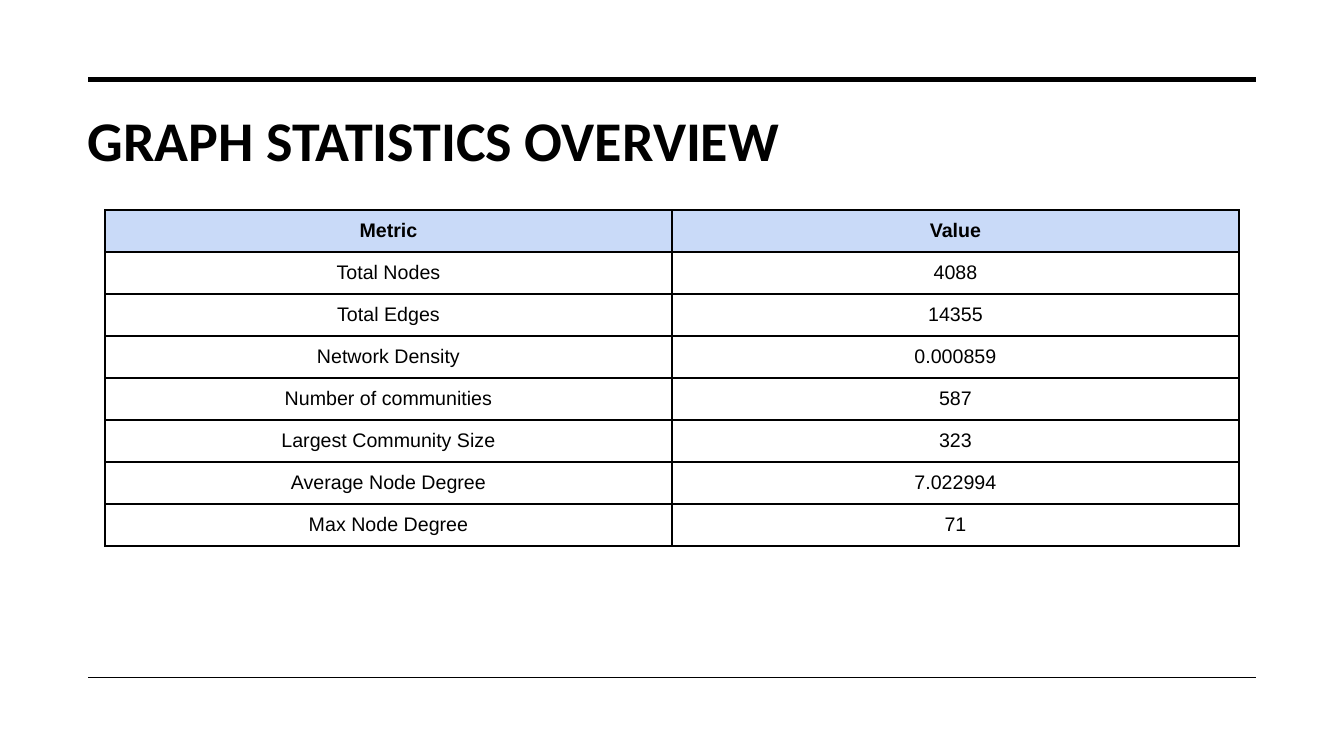
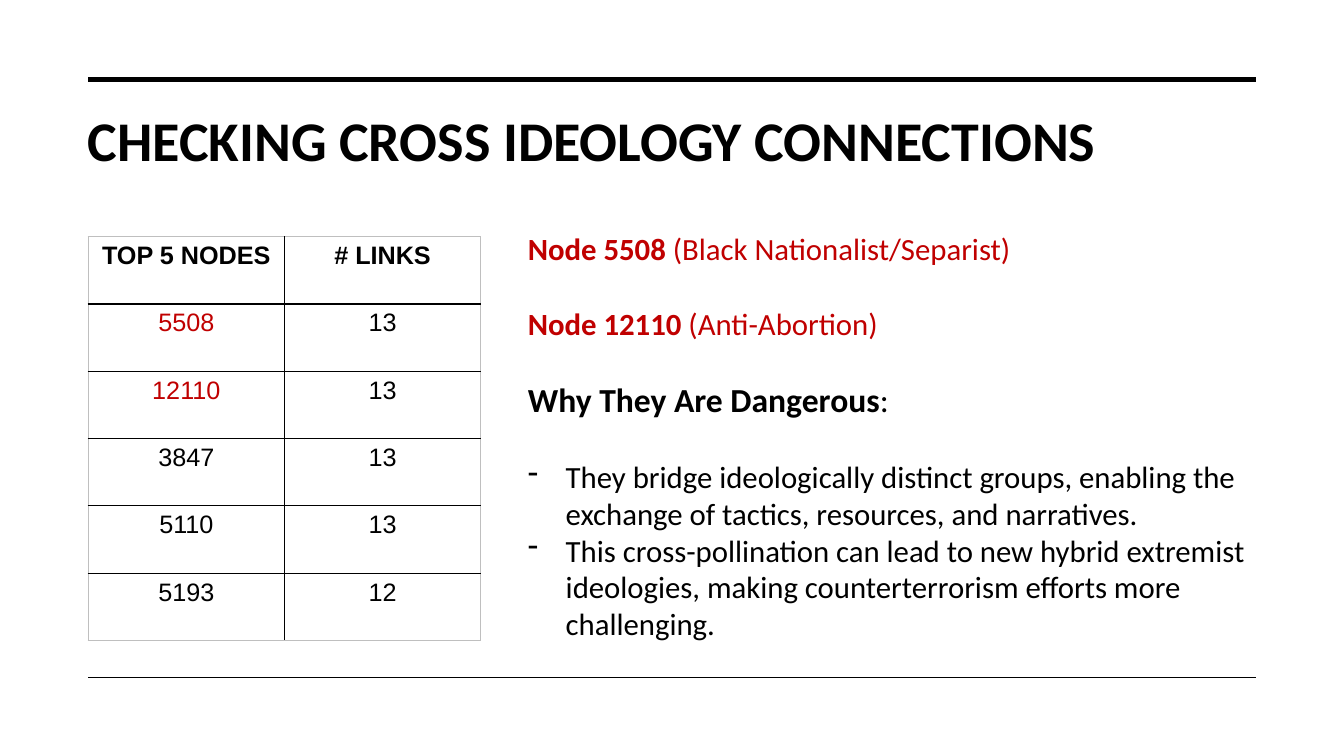
from pptx import Presentation
from pptx.dml.color import RGBColor
from pptx.enum import shapes, text
from pptx.oxml import parse_xml
from pptx.oxml.ns import nsdecls
from pptx.util import Pt

# Shared look
BLACK, RED, GRAY, HEADER_BLUE = "000000", "C00000", "BFBFBF", "C9DAF8"
LEFT, RIGHT = 63, 897
RULES = [(57, 3.5), (484, 1)]  # height on page, thickness
TITLE_FRAME = (55.5, 72, 842, 103)

# Content
STATISTICS = [
    ("Metric", "Value"),
    ("Total Nodes", "4088"),
    ("Total Edges", "14355"),
    ("Network Density", "0.000859"),
    ("Number of communities", "587"),
    ("Largest Community Size", "323"),
    ("Average Node Degree", "7.022994"),
    ("Max Node Degree", "71"),
]
TOP_NODES = [
    ("TOP 5 NODES", "# LINKS"),
    ("5508", "13"),
    ("12110", "13"),
    ("3847", "13"),
    ("5110", "13"),
    ("5193", "12"),
]
FLAGGED_NODES = {"5508", "12110"}
# Each paragraph: space before, bulleted, runs of (words, size, colour, bold)
FINDINGS = [
    (0, False, [("Node 5508 ", 22, RED, True),
                ("(Black Nationalist/Separist)", 22, RED, False)]),
    (27, False, [("Node 12110 ", 22, RED, True),
                 ("(Anti-Abortion)", 22, RED, False)]),
    (27, False, [("Why They Are Dangerous", 24, BLACK, True),
                 (":", 24, BLACK, False)]),
    (27, True, [("They bridge ideologically distinct groups, enabling "
                 "the exchange of tactics, resources, and narratives.",
                 22, BLACK, False)]),
    (0, True, [("This cross-pollination can lead to new hybrid extremist "
                "ideologies, making counterterrorism efforts more challenging.",
                22, BLACK, False)]),
]


def color(value):
    return RGBColor.from_string(value)


def add_span(para, words, size, ink=BLACK, bold=False, face="Calibri"):
    span = para.add_run()
    span.text = words
    span.font.name, span.font.size, span.font.bold = face, Pt(size), bold
    span.font.color.rgb = color(ink)


def add_page(deck, heading):
    page = deck.slides.add_slide(deck.slide_layouts[5])
    for height, thickness in RULES:
        rule = page.shapes.add_connector(
            shapes.MSO_CONNECTOR.STRAIGHT,
            Pt(LEFT), Pt(height), Pt(RIGHT), Pt(height))
        rule.line.color.rgb = color(BLACK)
        rule.line.width = Pt(thickness)
        rule._element.spPr.append(parse_xml(f"<a:effectLst {nsdecls('a')}/>"))
    title = page.shapes.title
    title.left, title.top, title.width, title.height = map(Pt, TITLE_FRAME)
    frame = title.text_frame
    frame.auto_size = text.MSO_AUTO_SIZE.NONE
    frame.vertical_anchor = text.MSO_ANCHOR.TOP
    frame.word_wrap = True
    para = frame.paragraphs[0]
    para.alignment = text.PP_ALIGN.LEFT
    add_span(para, heading, 40, bold=True)
    return page


def set_borders(cell, sides):
    properties = cell._tc.get_or_add_tcPr()
    for side, ink in sides.items():
        properties.append(parse_xml(
            f'<a:ln{side} {nsdecls("a")} w="{Pt(1)}"><a:solidFill>'
            f'<a:srgbClr val="{ink}"/></a:solidFill></a:ln{side}>'))


def add_grid(page, rows, left, top, column_width, row_height, size, margin,
             header_fill=None, outer=BLACK, flagged=()):
    count, columns = len(rows), len(rows[0])
    table = page.shapes.add_table(
        count, columns, Pt(left), Pt(top),
        Pt(column_width * columns), Pt(row_height * count)).table
    table.first_row = table.horz_banding = False
    for column in table.columns:
        column.width = Pt(column_width)
    for r, values in enumerate(rows):
        table.rows[r].height = Pt(row_height)
        for c, value in enumerate(values):
            cell = table.cell(r, c)
            cell.margin_top = cell.margin_bottom = Pt(margin)
            set_borders(cell, {
                "L": outer if c == 0 else BLACK,
                "R": outer if c == columns - 1 else BLACK,
                "T": outer if r == 0 else BLACK,
                "B": outer if r == count - 1 else BLACK})
            if r == 0 and header_fill:
                cell.fill.solid()
                cell.fill.fore_color.rgb = color(header_fill)
            else:
                cell.fill.background()
            para = cell.text_frame.paragraphs[0]
            para.alignment = text.PP_ALIGN.CENTER
            add_span(para, value, size, RED if value in flagged else BLACK,
                     r == 0, "Arial")


def add_findings(page):
    box = page.shapes.add_textbox(Pt(370), Pt(160.5), Pt(527), Pt(303))
    frame = box.text_frame
    frame.word_wrap = True
    for index, (space, bulleted, spans) in enumerate(FINDINGS):
        para = frame.add_paragraph() if index else frame.paragraphs[0]
        if space:
            para.space_before = Pt(space)
        if bulleted:
            properties = para._p.get_or_add_pPr()
            properties.set("marL", str(Pt(27)))
            properties.set("indent", str(-Pt(27)))
            properties.append(parse_xml(
                f'<a:buChar {nsdecls("a")} char="-"/>'))
        for span in spans:
            add_span(para, *span)


def main():
    deck = Presentation()
    deck.slide_width, deck.slide_height = Pt(960), Pt(540)

    # Graph statistics
    page = add_page(deck, "GRAPH STATISTICS OVERVIEW")
    add_grid(page, STATISTICS, 75, 150, 405, 30, 14, 7, HEADER_BLUE)

    # Cross ideology connections
    page = add_page(deck, "CHECKING CROSS IDEOLOGY CONNECTIONS")
    add_grid(page, TOP_NODES, LEFT, 169, 140.2, 48.1, 18, 3.6,
             outer=GRAY, flagged=FLAGGED_NODES)
    add_findings(page)

    deck.save("out.pptx")


if __name__ == "__main__":
    main()
